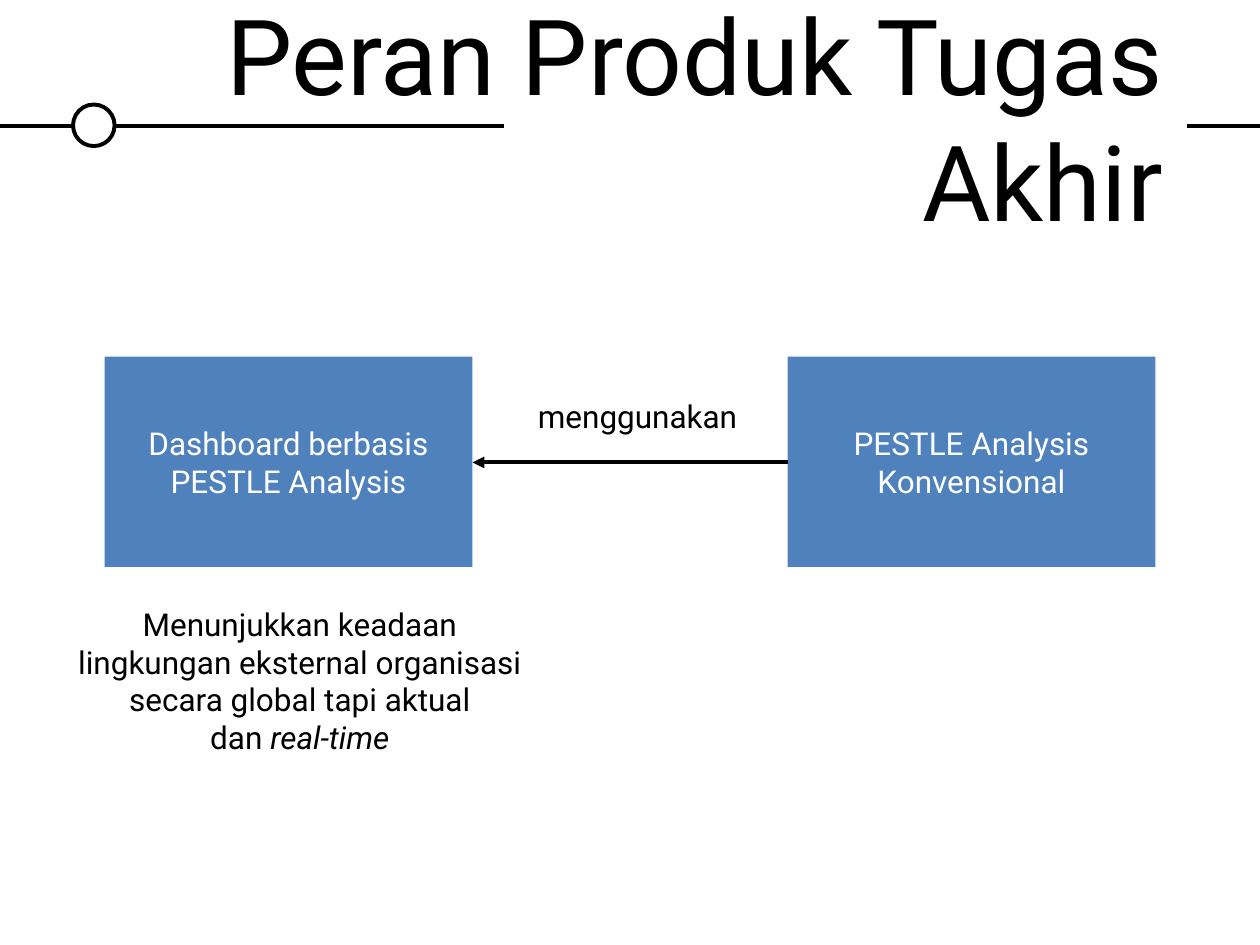
from pptx import Presentation
from pptx.util import Inches, Pt
from pptx.dml.color import RGBColor
from pptx.enum.shapes import MSO_SHAPE, MSO_CONNECTOR
from pptx.enum.text import PP_ALIGN, MSO_ANCHOR, MSO_AUTO_SIZE
from pptx.oxml.ns import qn
from lxml import etree

COLORS = {"ink": "000000", "paper": "FFFFFF", "box": "4F81BD"}


def write(frame, lines, size, color, align):
    frame.text = "\n".join(lines)
    for para in frame.paragraphs:
        para.alignment = align
        para.font.size = Pt(size)
        para.font.name = "Roboto"
        para.font.color.rgb = RGBColor.from_string(COLORS[color])


def rule(start, end, y):
    line = slide.shapes.add_connector(
        MSO_CONNECTOR.STRAIGHT, Inches(start), Inches(y), Inches(end), Inches(y))
    line.line.color.rgb = RGBColor.from_string(COLORS["ink"])
    line.line.width = Pt(2.25)
    etree.SubElement(line._element.spPr, qn("a:effectLst"))
    return line


deck = Presentation()
deck.slide_width, deck.slide_height = Inches(10), Inches(7.5)
slide = deck.slides.add_slide(deck.slide_layouts[5])

# Title
title = slide.shapes.title
title.left, title.top = Inches(0.33), Inches(0.3)
title.width, title.height = Inches(9), Inches(1.25)
frame = title.text_frame
frame.auto_size = MSO_AUTO_SIZE.NONE
frame.vertical_anchor = MSO_ANCHOR.MIDDLE
write(frame, ["Peran Produk Tugas Akhir"], 60, "ink", PP_ALIGN.RIGHT)

# Header rule with ring
rule(0, 4, 1)
rule(9.42, 10, 1)
ring = slide.shapes.add_shape(
    MSO_SHAPE.OVAL, Inches(0.58), Inches(0.83), Inches(0.33), Inches(0.33))
ring.shadow.inherit = False
ring.fill.solid()
ring.fill.fore_color.rgb = RGBColor.from_string(COLORS["paper"])
ring.line.color.rgb = RGBColor.from_string(COLORS["ink"])
ring.line.width = Pt(2.25)

# Boxes
boxes = [(0.83, ["Dashboard berbasis", "PESTLE Analysis"]),
         (6.25, ["PESTLE Analysis", "Konvensional"])]
for left, lines in boxes:
    box = slide.shapes.add_shape(
        MSO_SHAPE.RECTANGLE, Inches(left), Inches(2.83), Inches(2.92), Inches(1.67))
    box.shadow.inherit = False
    box.fill.solid()
    box.fill.fore_color.rgb = RGBColor.from_string(COLORS["box"])
    box.line.fill.background()
    box.text_frame.vertical_anchor = MSO_ANCHOR.MIDDLE
    write(box.text_frame, lines, 18, "paper", PP_ALIGN.CENTER)

# Arrow to the left box
arrow = rule(3.75, 6.25, 3.67)
etree.SubElement(arrow.line._get_or_add_ln(), qn("a:headEnd"), type="triangle")

# Arrow label
label = slide.shapes.add_textbox(Inches(4.17), Inches(3.1), Inches(1.79), Inches(0.4))
label.text_frame.word_wrap = False
label.text_frame.auto_size = MSO_AUTO_SIZE.SHAPE_TO_FIT_TEXT
write(label.text_frame, ["menggunakan"], 18, "ink", PP_ALIGN.LEFT)

# Note below the left box
note = slide.shapes.add_textbox(Inches(0.33), Inches(4.75), Inches(4.1), Inches(1.31))
frame = note.text_frame
frame.word_wrap = True
frame.auto_size = MSO_AUTO_SIZE.SHAPE_TO_FIT_TEXT
write(frame, ["Menunjukkan keadaan", "lingkungan eksternal organisasi",
              "secara global tapi aktual", "dan "], 18, "ink", PP_ALIGN.CENTER)
term = frame.paragraphs[-1].add_run()
term.text = "real-time"
term.font.italic = True

deck.save("out.pptx")
